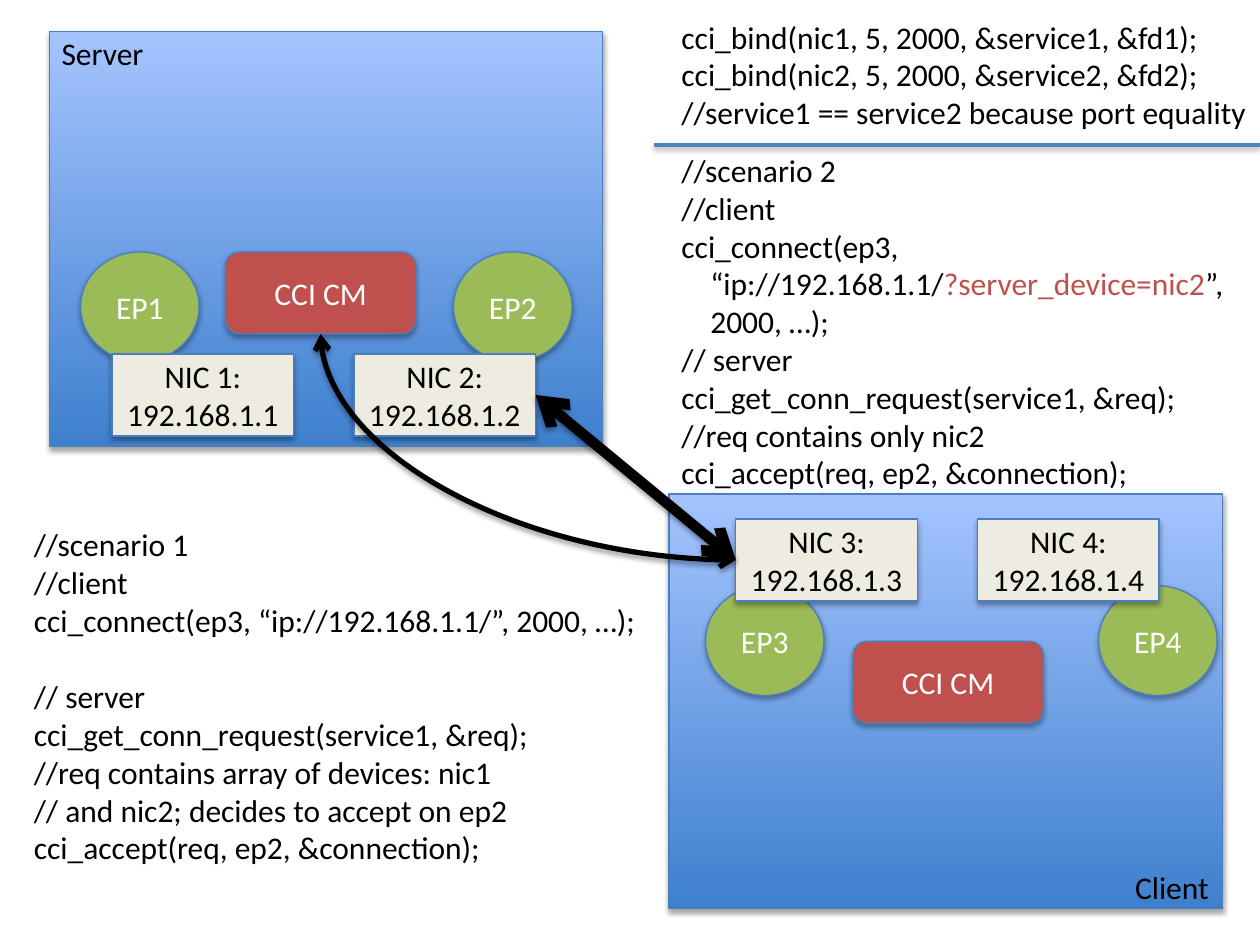
"""Build the slide on CCI connection scenarios between a server and a client."""
from dataclasses import dataclass

from lxml.etree import SubElement
from pptx import Presentation
from pptx.dml.color import RGBColor
from pptx.enum.shapes import MSO_CONNECTOR as LINE, MSO_SHAPE as SHAPE
from pptx.enum.text import MSO_ANCHOR, MSO_AUTO_SIZE, PP_ALIGN
from pptx.oxml.ns import qn
from pptx.util import Inches, Pt


@dataclass(frozen=True)
class Theme:
    font: str = "Calibri"
    size: int = 18
    black: str = "000000"
    white: str = "FFFFFF"
    red: str = "C0504D"
    green: str = "9BBB59"
    tan: str = "EEECE1"
    rule: str = "4F81BD"
    outline: str = "4B7EBC"
    panel: tuple = ("3F80CE", "A4C4FF")


T = Theme()
PANEL, CM, EP, NIC = (4.39, 3.29), (1.51, 0.65), (0.94, 0.87), (1.44, 0.65)
NIC_PITCH = 1.92
LEFT, RIGHT = 1, 3
BOTTOM = 2

HOSTS = [
    dict(panel=(0.39, 0.25), name="Server", name_at=(0.39, 0.22, 0.86, 0.4),
         cm=(1.79, 2), ep_y=2, eps={"EP1": 0.64, "EP2": 3.6},
         nic_at=(0.89, 2.81), nics=["NIC 1: 192.168.1.1", "NIC 2: 192.168.1.2"]),
    dict(panel=(5.31, 3.92), name="Client", name_at=(8.91, 6.84, 0.79, 0.4),
         cm=(6.77, 5.09), ep_y=4.65, eps={"EP3": 5.6, "EP4": 8.72},
         nic_at=(5.84, 4.12), nics=["NIC 3: 192.168.1.3", "NIC 4: 192.168.1.4"]),
]
ACCEPT = "cci_accept(req, ep2, &connection);"
REQUEST = "cci_get_conn_request(service1, &req);"
BIND = [
    "cci_bind(nic1, 5, 2000, &service1, &fd1);",
    "cci_bind(nic2, 5, 2000, &service2, &fd2);",
    "//service1 == service2 because port equality",
]
SCENARIO_1 = [
    "//scenario 1",
    "//client",
    "cci_connect(ep3, “ip://192.168.1.1/”, 2000, …);",
    "// server",
    REQUEST,
    "//req contains array of devices: nic1",
    "// and nic2; decides to accept on ep2",
    ACCEPT,
]
SCENARIO_2 = [
    "//scenario 2",
    "//client",
    "cci_connect(ep3,",
    ["“ip://192.168.1.1/", "?server_device=nic2", "”,"],
    "2000, …);",
    "// server",
    REQUEST,
    "//req contains only nic2",
    ACCEPT,
]


def rgb(color):
    return RGBColor.from_string(color)


def add_shadow(s, alpha, dist):
    effects = SubElement(s._element.spPr, qn("a:effectLst"))
    shadow = SubElement(effects, qn("a:outerShdw"), blurRad=str(Pt(3.15)),
                        dist=str(Pt(dist)), dir="5400000", rotWithShape="0")
    color = SubElement(shadow, qn("a:srgbClr"), val=T.black)
    SubElement(color, qn("a:alpha"), val=str(alpha * 1000))


def style_run(r, color):
    r.font.name, r.font.size = T.font, Pt(T.size)
    r.font.color.rgb = rgb(color)


def add_box(kind, at, size, fill=None, text="", color=T.black):
    s = slide.shapes.add_shape(kind, *map(Inches, at + size))
    if fill:
        s.fill.solid()
        s.fill.fore_color.rgb = rgb(fill)
    else:
        s.fill.gradient()
        s.fill.gradient_angle = 90
        for stop, position, shade in zip(s.fill.gradient_stops, (0, 1), T.panel):
            stop.position = position
            stop.color.rgb = rgb(shade)
    s.line.color.rgb = rgb(T.outline)
    s.line.width = Pt(0.75)
    add_shadow(s, 35, 1.8)
    if text:
        tf = s.text_frame
        tf.text, tf.word_wrap = text, True
        tf.vertical_anchor = MSO_ANCHOR.MIDDLE
        p = tf.paragraphs[0]
        p.alignment = PP_ALIGN.CENTER
        style_run(p.runs[0], color)
    return s


def add_text(lines, at):
    tf = slide.shapes.add_textbox(*map(Inches, at)).text_frame
    tf.word_wrap = False
    tf.auto_size = MSO_AUTO_SIZE.SHAPE_TO_FIT_TEXT
    for i, line in enumerate(lines):
        p = tf.add_paragraph() if i else tf.paragraphs[0]
        for part in [line] if isinstance(line, str) else line:
            r = p.add_run()
            r.text = part
            style_run(r, T.red if part.startswith("?") else T.black)
    return tf.paragraphs


def add_line(kind, color, width, start=(0, 0), end=(0, 0)):
    s = slide.shapes.add_connector(kind, *map(Inches, start + end))
    s.line.color.rgb = rgb(color)
    s.line.width = Pt(width)
    add_shadow(s, 38, 1.6)
    return s


def add_arrow(kind, width, start, end):
    s = add_line(kind, T.black, width)
    s.begin_connect(*start)
    s.end_connect(*end)
    for tag in ("a:headEnd", "a:tailEnd"):
        SubElement(s.line._get_or_add_ln(), qn(tag), type="arrow")
    return s


prs = Presentation()
prs.slide_width, prs.slide_height = Inches(10), Inches(7.5)
slide = prs.slides.add_slide(prs.slide_layouts[6])

cms, nics = [], []
for host in HOSTS:
    add_box(SHAPE.RECTANGLE, host["panel"], PANEL)
    add_text([host["name"]], host["name_at"])
    cms.append(add_box(SHAPE.ROUNDED_RECTANGLE, host["cm"], CM, T.red, "CCI CM", T.white))
    for name, x in host["eps"].items():
        add_box(SHAPE.OVAL, (x, host["ep_y"]), EP, T.green, name, T.white)
    x, y = host["nic_at"]
    for i, name in enumerate(host["nics"]):
        nics.append(add_box(SHAPE.RECTANGLE, (x + i * NIC_PITCH, y), NIC, T.tan, name))

add_text(BIND, (5.31, 0.09, 4.73, 1.01))
first = add_text(SCENARIO_1, (0.17, 4.12, 5.02, 3.13))
first[3].space_before = Pt(22)
second = add_text(SCENARIO_2, (5.31, 1.15, 4.54, 3.43))
for p in second[3:5]:
    p._p.get_or_add_pPr().set("marL", str(Inches(0.23)))

add_arrow(LINE.STRAIGHT, 6, (nics[2], LEFT), (nics[1], RIGHT))
add_line(LINE.STRAIGHT, T.rule, 2, (5.19, 1.15), (10, 1.15))
curve = add_arrow(LINE.CURVE, 3, (nics[2], LEFT), (cms[0], BOTTOM))
curve._element.spPr.find(qn("a:prstGeom")).set("prst", "curvedConnector2")

prs.save("out.pptx")
